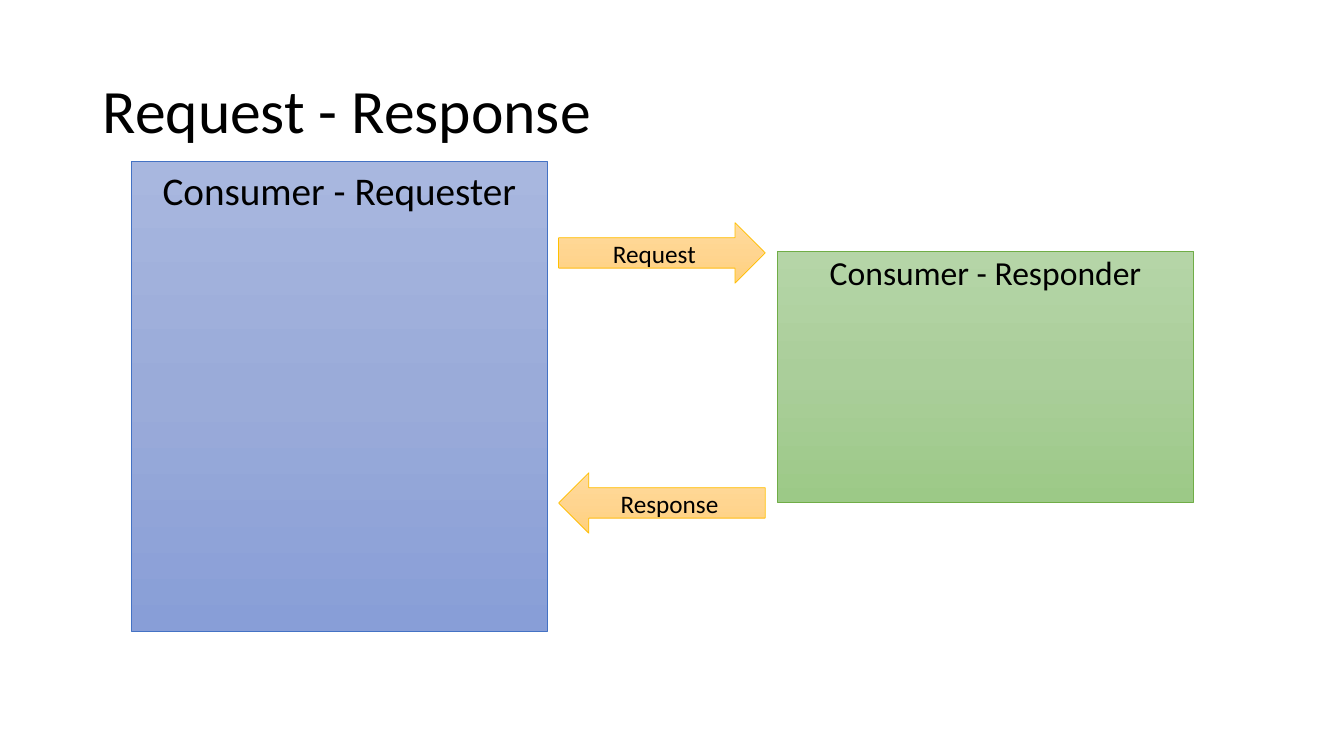
from copy import deepcopy
from dataclasses import dataclass

from pptx import Presentation
from pptx.dml.color import RGBColor
from pptx.enum.shapes import MSO_SHAPE
from pptx.enum.text import MSO_ANCHOR, PP_ALIGN
from pptx.oxml.ns import qn
from pptx.util import Inches, Pt

RECTANGLE = MSO_SHAPE.RECTANGLE
RIGHT_ARROW = MSO_SHAPE.RIGHT_ARROW
LEFT_ARROW = MSO_SHAPE.LEFT_ARROW
TOP, MIDDLE = MSO_ANCHOR.TOP, MSO_ANCHOR.MIDDLE
LEFT, CENTER = PP_ALIGN.LEFT, PP_ALIGN.CENTER


@dataclass(frozen=True)
class Palette:
    gradient: tuple
    outline: str


@dataclass(frozen=True)
class Theme:
    font: str = "Calibri"
    ink: str = "000000"
    title_size: int = 44
    requester_size: int = 28
    responder_size: int = 24
    message_size: int = 18
    outline_width: float = 0.5
    requester: Palette = Palette(("A8B7DF", "9AABD9", "889ED7"), "4472C4")
    responder: Palette = Palette(("B5D5A7", "AACE9A", "9CC987"), "70AD47")
    message: Palette = Palette(("FFDB9E", "FFD590", "FFD07C"), "FFC000")


class SlideBuilder:
    def __init__(self, slide, theme):
        self.shapes = slide.shapes
        self.theme = theme

    def set_label(self, holder, wording, size, anchor, align, line_spacing=1.0):
        frame = holder.text_frame
        frame.word_wrap = True
        frame.vertical_anchor = anchor
        frame.text = wording
        paragraph = frame.paragraphs[0]
        paragraph.alignment = align
        paragraph.line_spacing = line_spacing
        font = paragraph.runs[0].font
        font.name = self.theme.font
        font.size = Pt(size)
        font.color.rgb = RGBColor.from_string(self.theme.ink)

    def title(self, wording, box):
        heading = self.shapes.add_textbox(*map(Inches, box))
        self.set_label(heading, wording, self.theme.title_size, MIDDLE, LEFT, 0.9)

    def paint(self, block, palette):
        """Apply a top-to-bottom gradient with evenly spaced stops, and the outline."""
        block.shadow.inherit = False
        fill = block.fill
        fill.gradient()
        fill.gradient_angle = 270
        stop_list = block._element.spPr.find(".//" + qn("a:gsLst"))
        while len(stop_list) < len(palette.gradient):
            stop_list.append(deepcopy(stop_list[-1]))
        last = len(palette.gradient) - 1
        for index, (stop, color) in enumerate(zip(fill.gradient_stops, palette.gradient)):
            stop.position = index / last
            stop.color.rgb = RGBColor.from_string(color)
        block.line.color.rgb = RGBColor.from_string(palette.outline)
        block.line.width = Pt(self.theme.outline_width)

    def block(self, kind, wording, box, palette, size, anchor, line_spacing=1.0):
        block = self.shapes.add_shape(kind, *map(Inches, box))
        self.paint(block, palette)
        self.set_label(block, wording, size, anchor, CENTER, line_spacing)

    def message(self, kind, wording, top):
        """Draw an arrow in the gap between the two consumers."""
        self.block(kind, wording, (5.54, top, 2.05, 0.6), self.theme.message,
                   self.theme.message_size, MIDDLE)


def main():
    deck = Presentation()
    deck.slide_width, deck.slide_height = Inches(13.33), Inches(7.5)
    theme = Theme()
    builder = SlideBuilder(deck.slides.add_slide(deck.slide_layouts[6]), theme)

    builder.title("Request - Response", (0.92, 0.4, 11.5, 1.45))
    builder.block(RECTANGLE, "Consumer - Requester", (1.3, 1.6, 4.13, 4.66),
                  theme.requester, theme.requester_size, TOP)
    builder.block(RECTANGLE, "Consumer - Responder", (7.71, 2.49, 4.13, 2.49),
                  theme.responder, theme.responder_size, TOP, 0.9)
    builder.message(RIGHT_ARROW, "Request", 2.21)
    builder.message(LEFT_ARROW, "Response", 4.69)

    deck.save("out.pptx")


if __name__ == "__main__":
    main()
